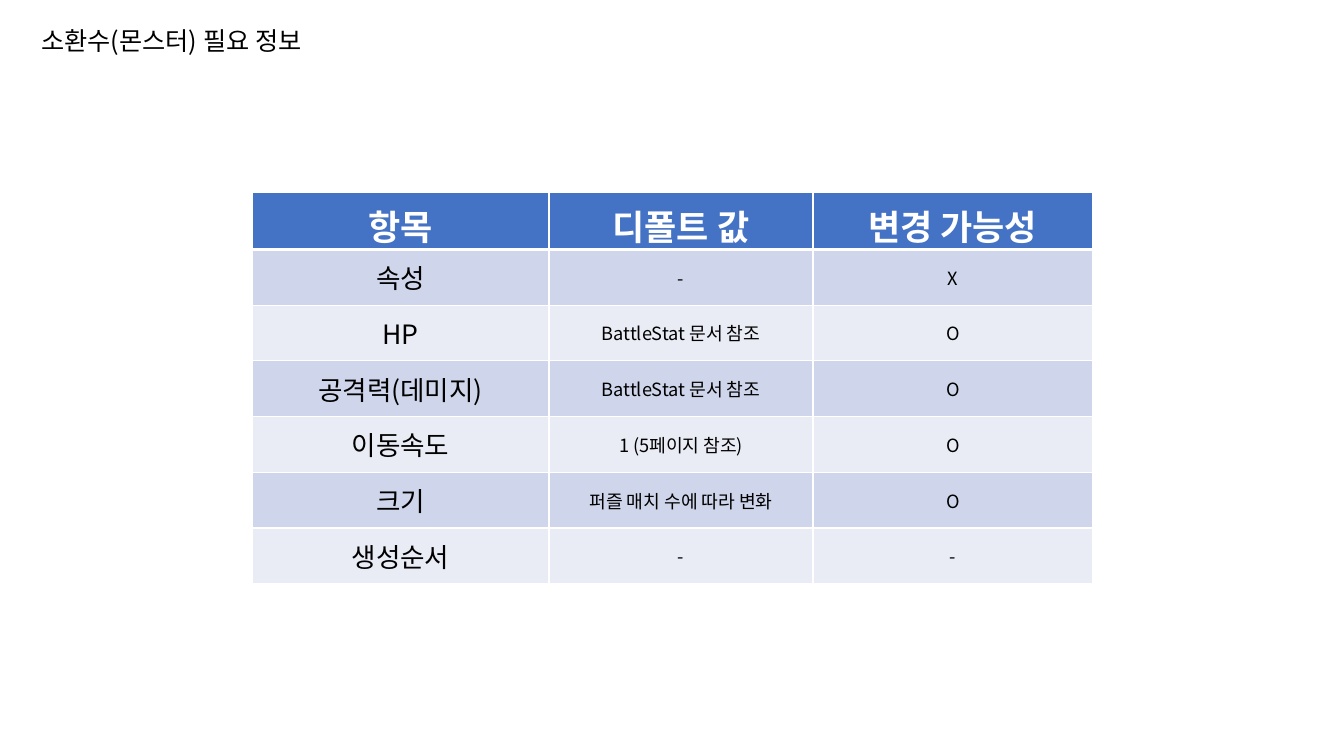
from lxml.etree import SubElement
from pptx import Presentation
from pptx.dml.color import RGBColor
from pptx.enum.text import MSO_ANCHOR, MSO_AUTO_SIZE, PP_ALIGN
from pptx.oxml.ns import qn
from pptx.util import Pt

FONT = "Noto Sans CJK KR"
BLACK, WHITE = "000000", "FFFFFF"
HEADER_FILL = "4472C4"
BAND_FILLS = ("CFD5EA", "E9EBF5")
COLUMN_WIDTHS = (212.1, 188.7, 199.7)
HEADER_HEIGHT, ROW_HEIGHT = 40.5, 39.8
ROWS = [
    ("항목", "디폴트 값", "변경 가능성"),
    ("속성", "-", "X"),
    ("HP", "BattleStat 문서 참조", "O"),
    ("공격력(데미지)", "BattleStat 문서 참조", "O"),
    ("이동속도", "1 (5페이지 참조)", "O"),
    ("크기", "퍼즐 매치 수에 따라 변화", "O"),
    ("생성순서", "-", "-"),
]


def color(value):
    return RGBColor.from_string(value)


def format_text(text_frame, size, text_color, align, bold=False):
    for paragraph in text_frame.paragraphs:
        paragraph.alignment = align
        for run in paragraph.runs:
            run.font.size = Pt(size)
            run.font.bold = bold
            run.font.name = FONT
            run.font.color.rgb = color(text_color)
            # East Asian typeface for the Korean characters
            SubElement(run.font._element, qn("a:ea"), typeface=FONT)


def set_borders(cell, top, bottom):
    properties = cell._tc.get_or_add_tcPr()
    widths = {"lnL": 1, "lnR": 1, "lnT": top, "lnB": bottom}
    for index, (side, width) in enumerate(widths.items()):
        line = SubElement(properties, qn(f"a:{side}"), w=str(Pt(width)))
        fill = SubElement(line, qn("a:solidFill"))
        SubElement(fill, qn("a:srgbClr"), val=WHITE)
        # Border lines come before the cell fill
        properties.insert(index, line)


def add_title(slide, text):
    title = slide.shapes.title
    title.left, title.top = Pt(22.3), Pt(14.4)
    title.width, title.height = Pt(369.4), Pt(28.8)
    text_frame = title.text_frame
    text_frame.text = text
    text_frame.word_wrap = True
    text_frame.auto_size = MSO_AUTO_SIZE.SHAPE_TO_FIT_TEXT
    text_frame.vertical_anchor = MSO_ANCHOR.TOP
    format_text(text_frame, 18, BLACK, PP_ALIGN.LEFT)
    text_frame.paragraphs[0].line_spacing = 1.0


def fill_cell(cell, text, row, column):
    is_header = row == 0
    cell.text_frame.text = text
    cell.vertical_anchor = MSO_ANCHOR.MIDDLE
    cell.margin_left = cell.margin_right = Pt(10)
    cell.margin_top = cell.margin_bottom = Pt(5)
    cell.fill.solid()
    cell.fill.fore_color.rgb = color(HEADER_FILL if is_header else BAND_FILLS[(row - 1) % 2])
    size = 25 if is_header else 19 if column == 0 else 13
    format_text(cell.text_frame, size, WHITE if is_header else BLACK, PP_ALIGN.CENTER, is_header)
    set_borders(cell, top=3 if row == 1 else 1, bottom=3 if is_header else 1)


def add_info_table(slide, rows):
    height = HEADER_HEIGHT + ROW_HEIGHT * (len(rows) - 1)
    frame = slide.shapes.add_table(
        len(rows), len(COLUMN_WIDTHS), Pt(180), Pt(137.7), Pt(sum(COLUMN_WIDTHS)), Pt(height))
    table = frame.table
    for column, width in zip(table.columns, COLUMN_WIDTHS):
        column.width = Pt(width)
    for row, texts in enumerate(rows):
        table.rows[row].height = Pt(ROW_HEIGHT if row else HEADER_HEIGHT)
        for column, text in enumerate(texts):
            fill_cell(table.cell(row, column), text, row, column)


def main():
    presentation = Presentation()
    presentation.slide_width, presentation.slide_height = Pt(960), Pt(540)
    # Title Only layout
    slide = presentation.slides.add_slide(presentation.slide_layouts[5])
    add_title(slide, "소환수(몬스터) 필요 정보")
    add_info_table(slide, ROWS)
    presentation.save("out.pptx")


if __name__ == "__main__":
    main()
